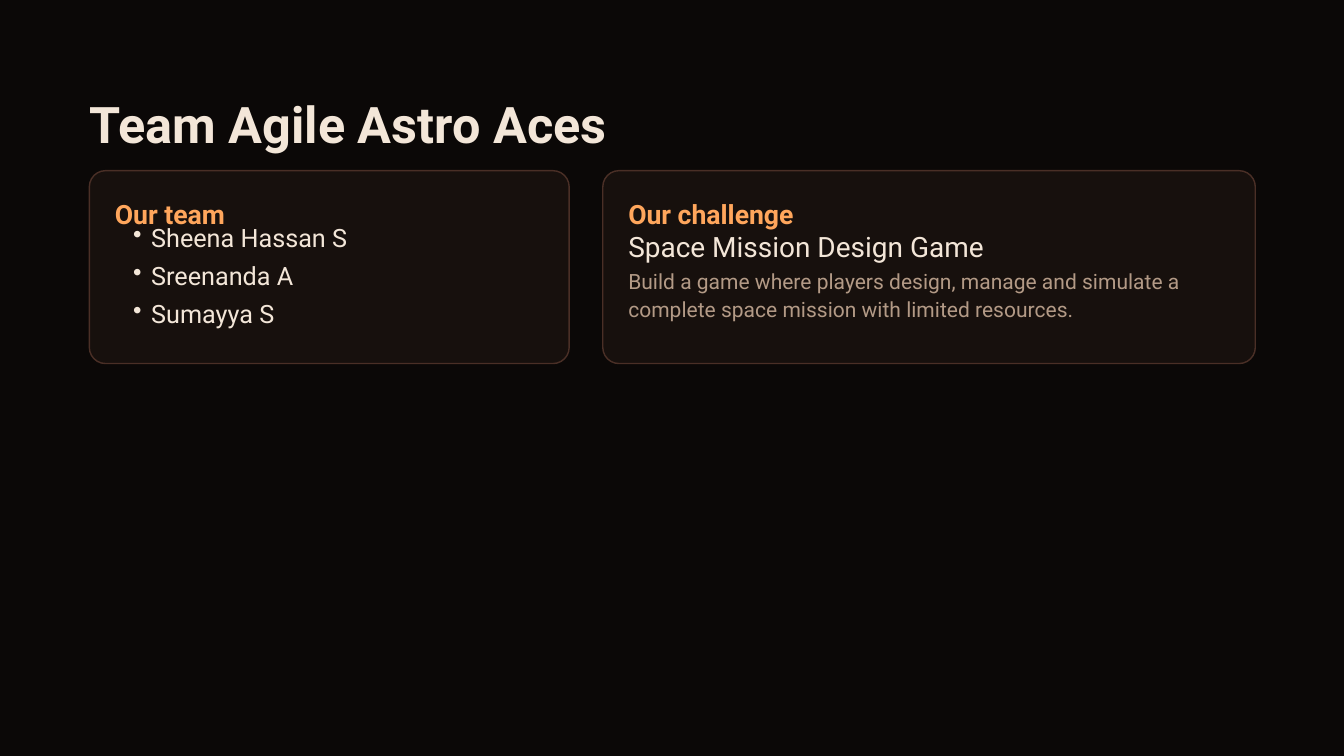
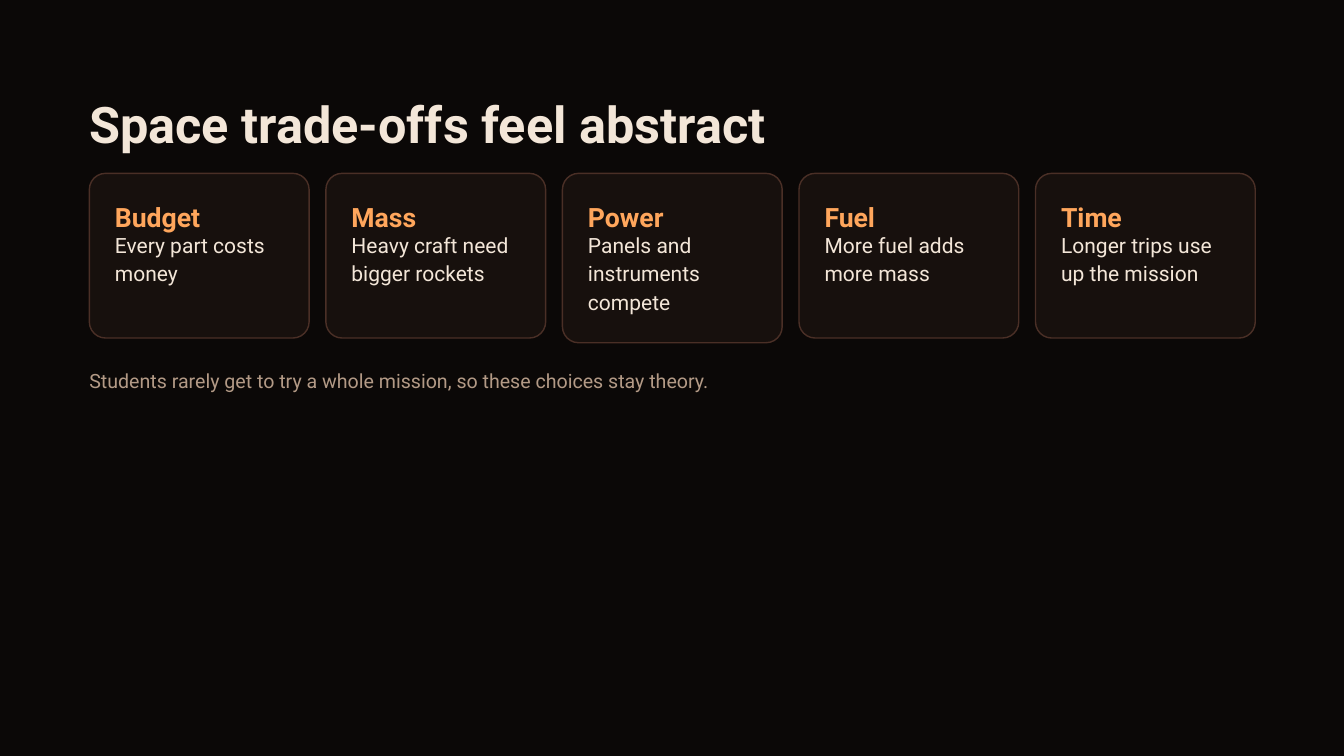
import lxml.etree
import pptx
import pptx.dml.color
import pptx.enum.shapes
import pptx.enum.text
import pptx.oxml.ns
import pptx.util

Inches = pptx.util.Inches
Pt = pptx.util.Pt

LEFT = 1.33
PAD = 0.38


def shade(code):
    return pptx.dml.color.RGBColor.from_string(code)


class Deck:
    """Holds the shared style and the slide being filled."""

    FONT = "Roboto"
    BACK = "0B0807"
    PANEL = "17100D"
    EDGE = "4A2F26"
    CREAM = "F3E6D8"
    AMBER = "FFA65C"
    TAN = "B39A86"
    ROUND = 0.24

    def __init__(self):
        self.file = pptx.Presentation()
        self.file.slide_width = Inches(20)
        self.file.slide_height = Inches(11.25)
        self.slide = None

    def page(self, title):
        self.slide = self.file.slides.add_slide(self.file.slide_layouts[6])
        fill = self.slide.background.fill
        fill.solid()
        fill.fore_color.rgb = shade(self.BACK)
        self.text(title, (LEFT, 1.46, 17.87, 0.77), 54, 59.7, self.CREAM, bold=True)

    def text(self, words, box, size, pitch, color, bold=False, dots=False):
        frame = self.slide.shapes.add_textbox(*map(Inches, box)).text_frame
        frame.margin_left = frame.margin_right = 0
        frame.margin_top = frame.margin_bottom = 0
        frame.word_wrap = True
        frame.auto_size = pptx.enum.text.MSO_AUTO_SIZE.SHAPE_TO_FIT_TEXT
        frame.text = words
        for para in frame.paragraphs:
            para.line_spacing = Pt(pitch)
            if dots:
                self.dot(para)
            for run in para.runs:
                run.font.name = self.FONT
                run.font.size = Pt(size)
                run.font.bold = bold
                run.font.color.rgb = shade(color)

    def dot(self, para):
        para.level = 1
        props = para._p.get_or_add_pPr()
        props.set("marL", str(Inches(0.54)))
        props.set("indent", str(Inches(-0.27)))
        mark = lxml.etree.SubElement(props, pptx.oxml.ns.qn("a:buChar"))
        mark.set("char", "•")

    def card(self, head, left, top, width, height, inner):
        kind = pptx.enum.shapes.MSO_SHAPE.ROUNDED_RECTANGLE
        box = map(Inches, (left, top, width, height))
        panel = self.slide.shapes.add_shape(kind, *box)
        panel.adjustments[0] = self.ROUND / min(width, height)
        panel.shadow.inherit = False
        panel.fill.solid()
        panel.fill.fore_color.rgb = shade(self.PANEL)
        panel.line.color.rgb = shade(self.EDGE)
        panel.line.width = Pt(1.5)
        place = (left + PAD, top + 0.41, inner, 0.48)
        self.text(head, place, 28.5, 34.2, self.AMBER, bold=True)


def team(deck):
    deck.page("Team Agile Astro Aces")
    top, tall = 2.54, 2.87
    deck.card("Our team", LEFT, top, 7.14, tall, 6.58)
    names = "Sheena Hassan S\nSreenanda A\nSumayya S"
    deck.text(names, (LEFT + PAD, 3.2, 6.58, 1.78), 27, 40.5, deck.CREAM, dots=True)

    left, wide = 8.97, 9.23
    deck.card("Our challenge", left, top, 9.71, tall, wide)
    deck.text("Space Mission Design Game", (left + PAD, 3.36, wide, 0.63),
              30, 40.4, deck.CREAM)
    deck.text("Build a game where players design, manage and simulate a "
              "complete space mission with limited resources.",
              (left + PAD, 3.94, wide, 0.89), 22.5, 30.5, deck.TAN)


def limits(deck):
    deck.page("Space trade-offs feel abstract")
    top, wide, gap, inner = 2.58, 3.27, 0.25, 2.6
    cards = [
        ("Budget", "Every part costs money", 2.45, 0.89),
        ("Mass", "Heavy craft need bigger rockets", 2.45, 0.89),
        ("Power", "Panels and instruments compete", 2.52, 1.31),
        ("Fuel", "More fuel adds more mass", 2.45, 0.89),
        ("Time", "Longer trips use up the mission", 2.45, 0.89),
    ]
    for i, (head, body, tall, depth) in enumerate(cards):
        left = LEFT + i * (wide + gap)
        deck.card(head, left, top, wide, tall, inner)
        deck.text(body, (left + PAD, 3.41, inner, depth), 22.5, 30.5, deck.CREAM)
    deck.text("Students rarely get to try a whole mission, so these choices stay theory.",
              (LEFT, 5.45, 18.67, 0.45), 21, 28.2, deck.TAN)


def main():
    deck = Deck()
    team(deck)
    limits(deck)
    deck.file.save("out.pptx")


if __name__ == "__main__":
    main()
